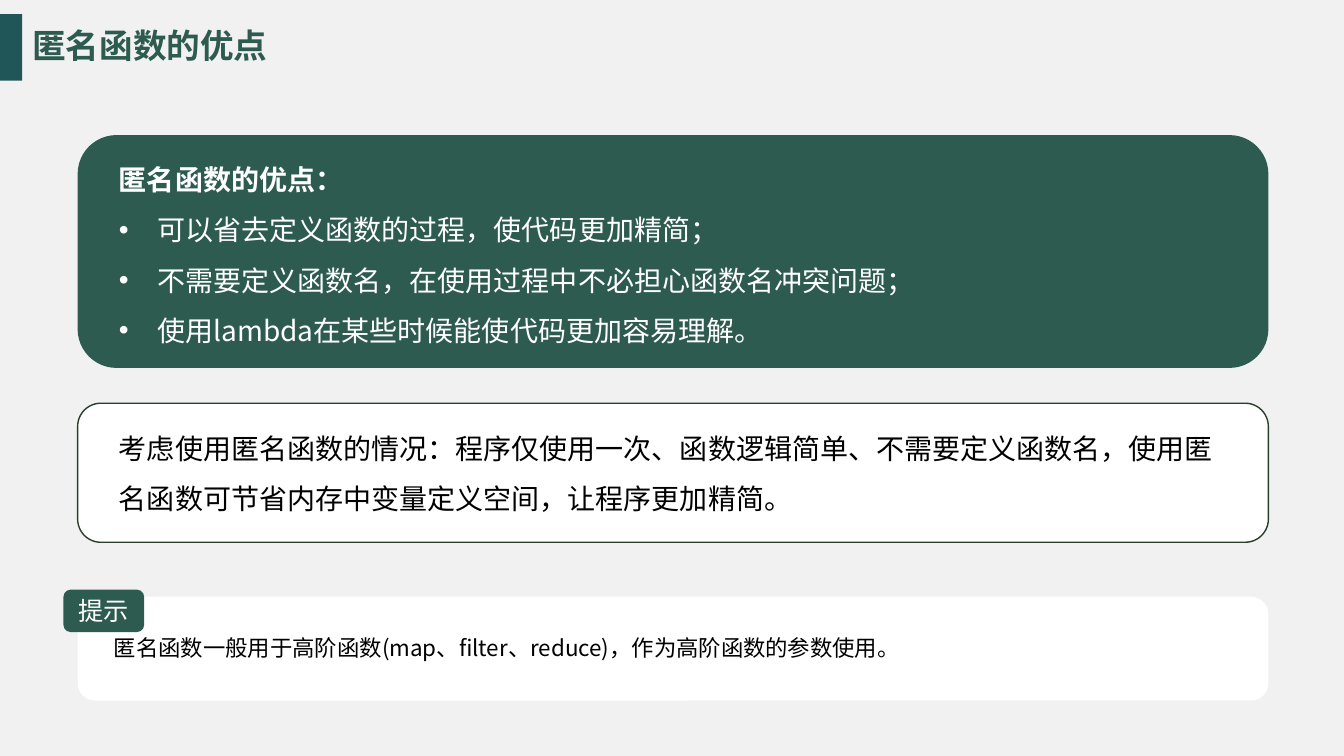
from dataclasses import dataclass
from pptx import Presentation
from pptx.dml.color import RGBColor
from pptx.enum.shapes import MSO_SHAPE
from pptx.enum.text import MSO_ANCHOR, PP_ALIGN
from pptx.oxml import parse_xml
from pptx.oxml.ns import nsdecls, qn
from pptx.util import Inches, Pt


@dataclass(frozen=True)
class Theme:
    """Colours, type sizes and font of the slide."""
    page: str = "F1F1F1"
    green: str = "2E5B50"
    teal: str = "205657"
    edge: str = "293E2B"
    white: str = "FFFFFF"
    black: str = "000000"
    title: int = 24
    body: int = 20
    tag: int = 18
    tip: int = 16
    font: str = "Noto Sans CJK SC"


@dataclass(frozen=True)
class Box:
    """A rectangle in inches."""
    x: float
    y: float
    w: float
    h: float

    def sub(self, dx, dy, w, h):
        """Give a box placed from this box's corner."""
        return Box(self.x + dx, self.y + dy, w, h)

    def emu(self):
        """Give left, top, width and height as lengths."""
        return [Inches(v) for v in (self.x, self.y, self.w, self.h)]


LOOK = Theme()
WIDE, HIGH = 13.33, 7.5
LEFT, SPAN = 0.77, 11.81
POINTS = (
    ("可以省去定义函数的过程，使代码更加精简；",),
    ("不需要定义函数名，在使用过程中不必担心函数名冲突问题；",),
    ("使用", "lambda", "在某些时候能使代码更加容易理解。"),
)
CASES = ("考虑使用匿名函数的情况：程序仅使用一次、函数逻辑简单、不需要定义函数名，"
         "使用匿 名函数可节省内存中变量定义空间，让程序更加精简。")
HINT = ("匿名函数一般用于高阶函数", "(map", "、", "filter", "、", "reduce)，",
        "作为高阶函数的参数使用。")


def rgb(code):
    """Turn a hex code into a colour."""
    return RGBColor.from_string(code)


def panel(slide, box, fill, edge=None, kind=MSO_SHAPE.ROUNDED_RECTANGLE):
    """Draw a flat filled shape, with an edge if one is named."""
    shape = slide.shapes.add_shape(kind, *box.emu())
    shape.shadow.inherit = False
    shape.fill.solid()
    shape.fill.fore_color.rgb = rgb(fill)
    if edge:
        shape.line.color.rgb = rgb(edge)
        shape.line.width = Pt(1)
    else:
        shape.line.fill.background()
    return shape


def frame(shape, anchor=MSO_ANCHOR.TOP):
    """Clear the margins of a shape and give its text frame."""
    text = shape.text_frame
    text.word_wrap = True
    text.vertical_anchor = anchor
    text.margin_left = text.margin_right = 0
    text.margin_top = text.margin_bottom = 0
    return text


def note(slide, box):
    """Add a text box and give its text frame."""
    return frame(slide.shapes.add_textbox(*box.emu()))


def write(para, runs, size, color, bold=False):
    """Fill a paragraph run by run."""
    for words in runs:
        run = para.add_run()
        run.text = words
        font = run.font
        font.size, font.bold, font.name = Pt(size), bold, LOOK.font
        font.color.rgb = rgb(color)
        face = font._element.find(qn("a:latin"))
        face.addnext(parse_xml(
            f'<a:ea {nsdecls("a")} typeface="{LOOK.font}"/>'))


def bullet(para, indent):
    """Give a paragraph a hanging bullet."""
    props = para._p.get_or_add_pPr()
    props.set("marL", str(Inches(indent)))
    props.set("indent", str(-Inches(indent)))
    for part in ('buFont typeface="Arial"', 'buChar char="•"'):
        props.append(parse_xml(f'<a:{part} {nsdecls("a")}/>'))


def header(slide, box):
    """Place the accent bar and the title."""
    panel(slide, box.sub(0, 0, 0.22, box.h), LOOK.teal,
          kind=MSO_SHAPE.RECTANGLE)
    title = slide.shapes.title
    spot = box.sub(0.32, 0.11, box.w - 0.32, 0.43)
    title.left, title.top, title.width, title.height = spot.emu()
    para = frame(title).paragraphs[0]
    para.alignment = PP_ALIGN.LEFT
    write(para, ["匿名函数的优点"], LOOK.title, LOOK.green, True)


def merits(slide, box):
    """Place the green panel with its heading and bullets."""
    panel(slide, box, LOOK.green)
    text = note(slide, box.sub(0.41, 0.27, 7.9, 1.85))
    write(text.paragraphs[0], ["匿名函数的优点："], LOOK.body, LOOK.white, True)
    for runs in POINTS:
        para = text.add_paragraph()
        para.space_before = Pt(12)
        bullet(para, 0.38)
        write(para, runs, LOOK.body, LOOK.white)


def cases(slide, box):
    """Place the outlined card."""
    panel(slide, box, LOOK.white, LOOK.edge)
    para = note(slide, box.sub(0.41, 0.11, 10.86, 1.03)).paragraphs[0]
    para.line_spacing = 1.5
    write(para, [CASES], LOOK.body, LOOK.black)


def hint(slide, box):
    """Place the tip card and its overlapping tag."""
    panel(slide, box, LOOK.white)
    tag = panel(slide, box.sub(-0.14, -0.07, 0.8, 0.42), LOOK.green)
    para = frame(tag, MSO_ANCHOR.MIDDLE).paragraphs[0]
    para.alignment = PP_ALIGN.CENTER
    write(para, ["提示"], LOOK.tag, LOOK.white)
    text = note(slide, box.sub(0.36, 0.37, 7.9, 0.55))
    write(text.paragraphs[0], HINT, LOOK.tip, LOOK.black)


def main():
    """Build the slide and save it."""
    deck = Presentation()
    deck.slide_width, deck.slide_height = Inches(WIDE), Inches(HIGH)
    slide = deck.slides.add_slide(deck.slide_layouts[5])
    back = slide.background.fill
    back.solid()
    back.fore_color.rgb = rgb(LOOK.page)
    header(slide, Box(0, 0.14, WIDE / 2, 0.66))
    merits(slide, Box(LEFT, 1.34, SPAN, 2.31))
    cases(slide, Box(LEFT, 4, SPAN, 1.38))
    hint(slide, Box(LEFT, 5.92, SPAN, 1.03))
    deck.save("out.pptx")


if __name__ == "__main__":
    main()
